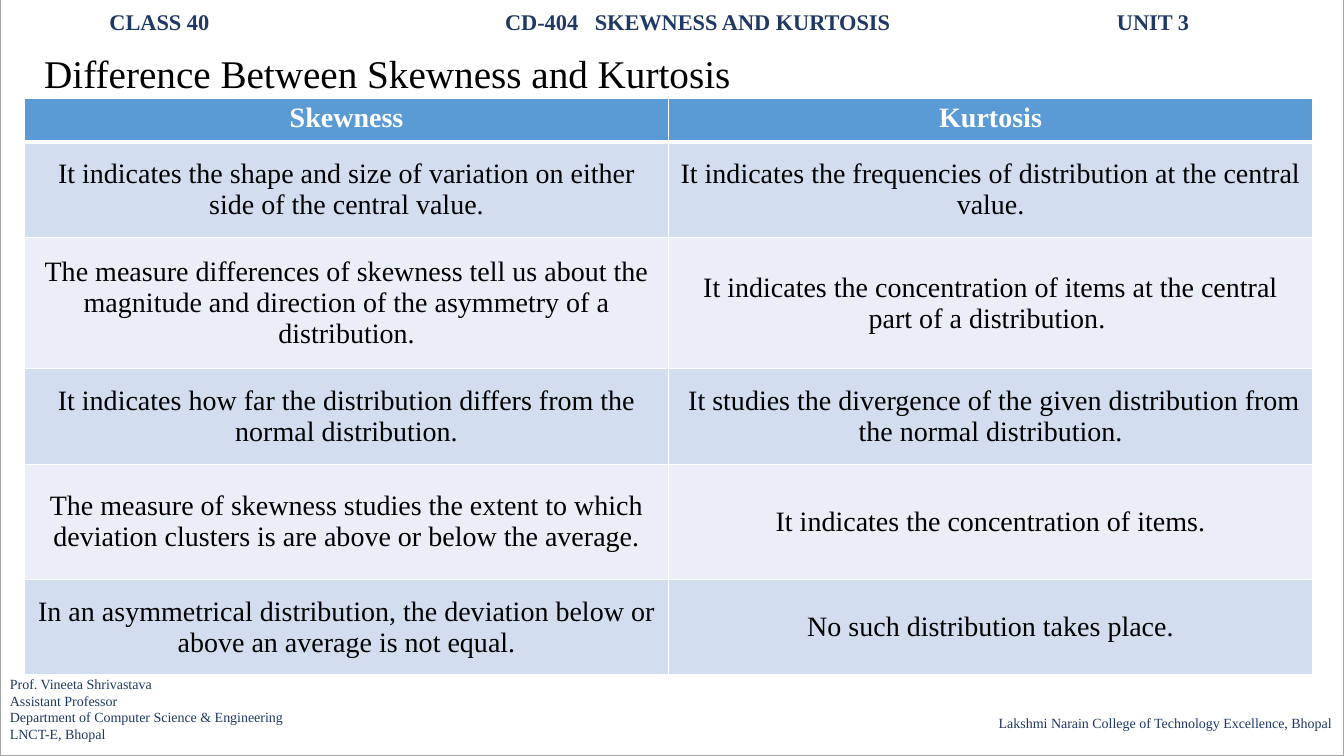
from lxml import etree
from pptx import Presentation
from pptx.dml.color import RGBColor
from pptx.enum.shapes import MSO_SHAPE
from pptx.enum.text import MSO_ANCHOR, MSO_AUTO_SIZE, PP_ALIGN
from pptx.oxml.ns import qn
from pptx.util import Cm, Pt

RECTANGLE = MSO_SHAPE.RECTANGLE
TOP, MIDDLE = MSO_ANCHOR.TOP, MSO_ANCHOR.MIDDLE
LEFT, CENTER = PP_ALIGN.LEFT, PP_ALIGN.CENTER
NO_FIT = MSO_AUTO_SIZE.NONE

FONT = "Times New Roman"
NAVY, BLACK, WHITE, GREY = "203864", "000000", "FFFFFF", "A5A5A5"
HEADING_BLUE = "5B9BD5"
BANDS = ("D2DEEF", "EAEFF7")

COURSE_LINE = "CLASS 40\tCD-404\tSKEWNESS AND KURTOSIS\tUNIT 3"
COURSE_STOPS = (9.97, 12.23, 25.39)
LECTURER = (
    "Prof. Vineeta Shrivastava\n"
    "Assistant Professor\n"
    "Department of Computer Science & Engineering\n"
    "LNCT-E, Bhopal"
)
COLLEGE = "Lakshmi Narain College of Technology Excellence, Bhopal"
COMPARISON = (
    ("Skewness", "Kurtosis"),
    ("It indicates the shape and size of variation on either side of the central value.",
     "It indicates the frequencies of distribution at the central value."),
    ("The measure differences of skewness tell us about the magnitude and direction "
     "of the asymmetry of a distribution.",
     "It indicates the concentration of items at the central part of a distribution. "),
    ("It indicates how far the distribution differs from the normal distribution.",
     " It studies the divergence of the given distribution from the normal distribution."),
    ("The measure of skewness studies the extent to which deviation clusters is are "
     "above or below the average.",
     "It indicates the concentration of items."),
    ("In an asymmetrical distribution, the deviation below or above an average is not equal.",
     "No such distribution takes place."),
)
ROW_HEIGHTS = (1.09, 2.41, 3.3, 2.41, 2.9, 2.41)


def colour(hex_string):
    """Turn a hex string into a colour."""
    return RGBColor.from_string(hex_string)


def write(frame, text, size, ink, bold=False, align=LEFT):
    """Fill a text frame and format its runs."""
    frame.text = text
    for paragraph in frame.paragraphs:
        paragraph.alignment = align
        for run in paragraph.runs:
            run.font.name = FONT
            run.font.size = Pt(size)
            run.font.bold = bold
            run.font.color.rgb = colour(ink)


def add_frame(slide, box):
    """Lay the white sheet with its grey outline behind everything."""
    sheet = slide.shapes.add_shape(RECTANGLE, *map(Cm, box))
    sheet.shadow.inherit = False
    sheet.fill.solid()
    sheet.fill.fore_color.rgb = colour(WHITE)
    sheet.line.color.rgb = colour(GREY)
    sheet.line.width = Pt(1)
    slide.shapes._spTree.insert(2, sheet._element)


def add_label(slide, box, text, size, bold=False):
    """Place a navy text box and return its frame."""
    frame = slide.shapes.add_textbox(*map(Cm, box)).text_frame
    frame.word_wrap = True
    write(frame, text, size, NAVY, bold)
    return frame


def add_course_header(slide, box):
    """Place class, subject and unit on one line with tab stops."""
    frame = add_label(slide, box, COURSE_LINE, 16, True)
    properties = frame.paragraphs[0]._p.get_or_add_pPr()
    stops = etree.SubElement(properties, qn("a:tabLst"))
    for position in COURSE_STOPS:
        etree.SubElement(stops, qn("a:tab"), pos=str(int(Cm(position))), algn="l")


def add_title(slide, box):
    """Move and format the title placeholder."""
    title = slide.shapes.title
    title.left, title.top, title.width, title.height = map(Cm, box)
    title.text_frame.auto_size = NO_FIT
    title.text_frame.vertical_anchor = MIDDLE
    write(title.text_frame, "Difference Between Skewness and Kurtosis", 28, BLACK)


def add_borders(cell, bottom_width):
    """Draw white lines around a cell."""
    properties = cell._tc.get_or_add_tcPr()
    widths = {"a:lnL": 1, "a:lnR": 1, "a:lnT": 1, "a:lnB": bottom_width}
    for index, (side, width) in enumerate(widths.items()):
        border = etree.Element(qn(side), w=str(int(Pt(width))))
        fill = etree.SubElement(border, qn("a:solidFill"))
        etree.SubElement(fill, qn("a:srgbClr"), val=WHITE)
        properties.insert(index, border)


def add_comparison(slide, box):
    """Build the two-column comparison table."""
    table = slide.shapes.add_table(len(COMPARISON), 2, *map(Cm, box)).table
    for column in table.columns:
        column.width = Cm(box[2] / 2)
    for row_index, texts in enumerate(COMPARISON):
        table.rows[row_index].height = Cm(ROW_HEIGHTS[row_index])
        heading = row_index == 0
        for column_index, text in enumerate(texts):
            cell = table.cell(row_index, column_index)
            cell.fill.solid()
            cell.fill.fore_color.rgb = colour(
                HEADING_BLUE if heading else BANDS[(row_index - 1) % 2])
            cell.vertical_anchor = TOP if heading else MIDDLE
            cell.margin_left = cell.margin_right = Cm(0.25)
            cell.margin_top = cell.margin_bottom = Cm(0.1 if heading else 0.33)
            write(cell.text_frame, text, 20, WHITE if heading else BLACK, heading, CENTER)
            add_borders(cell, 3 if heading else 1)


def add_footer(slide, box):
    """Place the lecturer on the left and the college on the right."""
    left, top, width, height = box
    add_label(slide, (left, top, 8.38, height), LECTURER, 10)
    college_width = 9.4
    add_label(slide, (left + width - college_width, top + 0.99, college_width, 0.69),
              COLLEGE, 10)


def main():
    """Build and save the slide."""
    deck = Presentation()
    deck.slide_width, deck.slide_height = Cm(33.87), Cm(19.05)
    slide = deck.slides.add_slide(deck.slide_layouts[5])
    add_frame(slide, (0, -0.2, 33.87, 19.25))
    add_course_header(slide, (2.51, 0.08, 30.4, 0.94))
    add_title(slide, (0.86, 1.12, 31.57, 1.45))
    add_comparison(slide, (0.62, 2.49, 32.46, sum(ROW_HEIGHTS)))
    add_footer(slide, (0, 16.89, 34.32, 1.96))
    deck.save("out.pptx")


if __name__ == "__main__":
    main()
